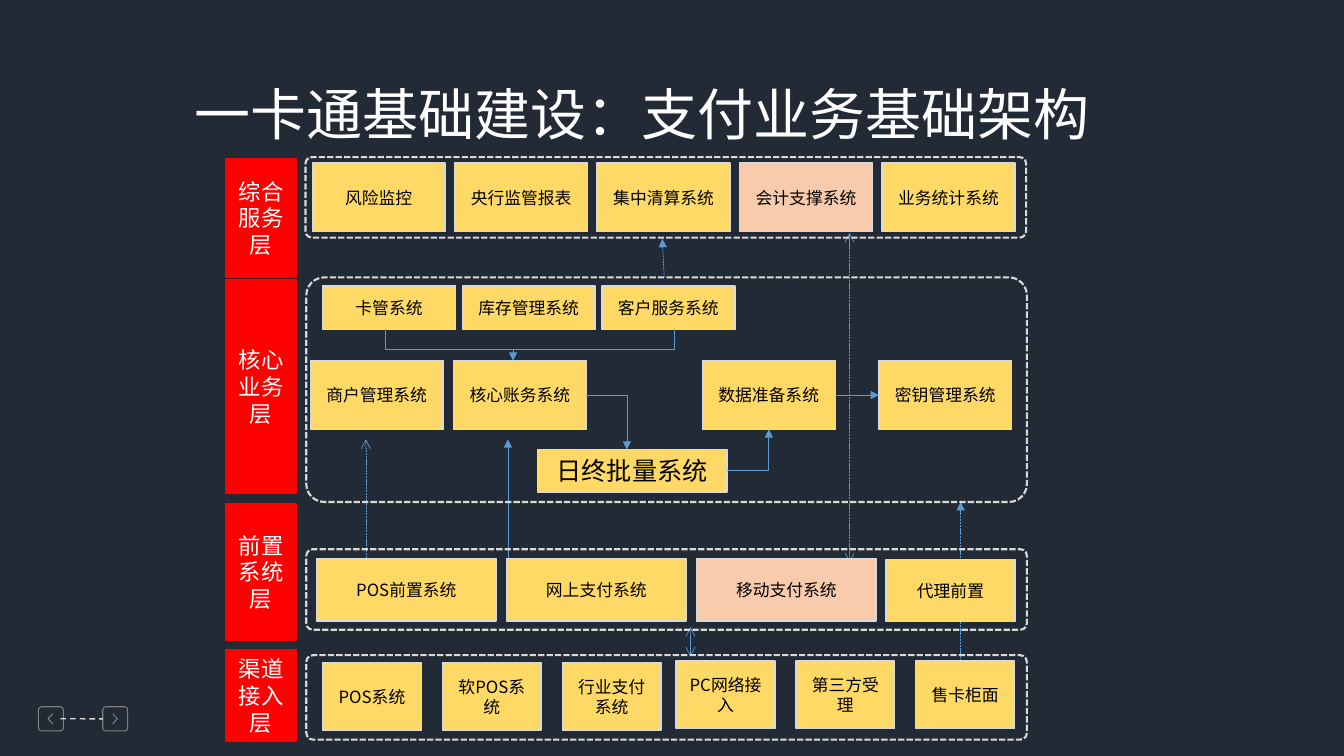
"""Build the payment architecture slide: four layers of systems and their links."""
from lxml.etree import SubElement
from pptx import Presentation
from pptx.dml.color import RGBColor
from pptx.enum.dml import MSO_LINE
from pptx.enum.shapes import MSO_CONNECTOR, MSO_SHAPE
from pptx.enum.text import MSO_ANCHOR, PP_ALIGN
from pptx.oxml.ns import qn
from pptx.util import Cm, Pt

FONT = "Noto Sans CJK SC"
BLUE, GRAY, PALE, RED = "5B9BD5", "808080", "D9D9D9", "FF0000"
YELLOW, PINK, WHITE, BLACK = "FFD966", "F8CBAD", "FFFFFF", "000000"
DASH, DOTS = MSO_LINE.DASH, MSO_LINE.SQUARE_DOT

TITLE = "一卡通基础建设：支付业务基础架构"
# name, label top, label height, frame left, frame top, frame height
LAYERS = [
    ("综合服务层", 4.01, 2.97, 7.7, 3.96, 2.03),
    ("核心业务层", 7.06, 5.38, 7.72, 6.99, 5.66),
    ("前置系统层", 12.7, 3.43, 7.72, 13.84, 2.03),
    ("渠道接入层", 16.38, 2.29, 7.72, 16.51, 2.13),
]
# left, step, top, width, height, text size, names
ROWS = [
    (7.87, 3.59, 4.11, 3.35, 1.73, 12,
     ["风险监控", "央行监管报表", "集中清算系统", "会计支撑系统", "业务统计系统"]),
    (8.13, 3.52, 7.21, 3.35, 1.09, 12, ["卡管系统", "库存管理系统", "客户服务系统"]),
    (7.82, 3.61, 9.09, 3.35, 1.73, 12, ["商户管理系统", "核心账务系统"]),
    (17.7, 4.45, 9.09, 3.35, 1.73, 12, ["数据准备系统", "密钥管理系统"]),
    (13.54, 0, 11.33, 4.78, 1.07, 18, ["日终批量系统"]),
    (7.98, 4.79, 14.08, 4.52, 1.57, 12, ["POS前置系统", "网上支付系统", "移动支付系统"]),
    (22.33, 0, 14.1, 3.25, 1.57, 12, ["代理前置"]),
    (8.13, 3.02, 16.7, 2.49, 1.7, 12, ["POS系统", "软POS系统", "行业支付系统"]),
    (17.04, 3.02, 16.66, 2.49, 1.7, 12, ["PC网络接入", "第三方受理", "售卡柜面"]),
]
HIGHLIGHTED = {"会计支撑系统", "移动支付系统"}
# start, end, dash, head, tail
LAYER_LINKS = [
    ((16.74, 6.99), (16.69, 6.02), DOTS, None, "triangle"),
    ((9.22, 14.43), (9.22, 11.07), DOTS, "arrow", "arrow"),
    ((21.41, 14.17), (21.41, 5.87), DOTS, "arrow", "arrow"),
    ((12.8, 14.48), (12.8, 11.07), None, None, "triangle"),
    ((24.21, 16.66), (24.21, 12.65), DOTS, None, "triangle"),
    ((17.4, 15.8), (17.4, 16.54), None, "arrow", "arrow"),
]
BUS_LINKS = [
    ((9.7, 8.3), (9.7, 8.81), None, None, None),
    ((16.99, 8.3), (16.99, 8.81), None, None, None),
    ((9.7, 8.81), (16.99, 8.81), None, None, None),
    ((12.93, 8.81), (12.93, 9.09), None, None, "triangle"),
]
# left of button, chevron outer x, chevron tip x
NAV_BUTTONS = [(0.97, 1.33, 1.21), (2.59, 2.84, 2.96)]


def rgb(value):
    return RGBColor.from_string(value)


def outline(s, color, width, dash=None):
    s.line.color.rgb = rgb(color)
    s.line.width = Pt(width)
    if dash:
        s.line.dash_style = dash


def write(s, text, size, color):
    p = s.text_frame.paragraphs[0]
    p.alignment = PP_ALIGN.CENTER
    r = p.add_run()
    r.text = text
    r.font.size = Pt(size)
    r.font.color.rgb = rgb(color)
    r.font.name = FONT
    SubElement(r.font._element, qn("a:ea"), typeface=FONT)


def box(x, y, w, h, fill=None, line=PALE, width=1, dash=None, rounding=None):
    kind = MSO_SHAPE.RECTANGLE if rounding is None else MSO_SHAPE.ROUNDED_RECTANGLE
    s = shapes.add_shape(kind, Cm(x), Cm(y), Cm(w), Cm(h))
    s.shadow.inherit = False
    if rounding is not None:
        s.adjustments[0] = rounding
    if fill:
        s.fill.solid()
        s.fill.fore_color.rgb = rgb(fill)
    else:
        s.fill.background()
    outline(s, line, width, dash)
    s.text_frame.vertical_anchor = MSO_ANCHOR.MIDDLE
    return s


def link(start, end, dash=None, head=None, tail=None, color=BLUE, width=0.5, bent=False):
    kind = MSO_CONNECTOR.ELBOW if bent else MSO_CONNECTOR.STRAIGHT
    c = shapes.add_connector(kind, *(Cm(v) for v in (*start, *end)))
    if bent:
        c._element.spPr.find(qn("a:prstGeom")).set("prst", "bentConnector2")
    outline(c, color, width, dash)
    for tag, end_type in (("a:headEnd", head), ("a:tailEnd", tail)):
        if end_type:
            SubElement(c.line._get_or_add_ln(), qn(tag), type=end_type)
    SubElement(c._element.spPr, qn("a:effectLst"))
    return c


def draw_navigation():
    for x, outer, tip in NAV_BUTTONS:
        button = box(x, 17.81, 0.63, 0.61, line=GRAY, width=0.75, rounding=0.14)
        builder = shapes.build_freeform(Cm(outer), Cm(17.99))
        builder.add_line_segments([(Cm(tip), Cm(18.11)), (Cm(outer), Cm(18.24))], close=False)
        chevron = builder.convert_to_shape()
        chevron.shadow.inherit = False
        chevron.fill.background()
        outline(chevron, GRAY, 0.75)
    c = link((1.52, 18.11), (2.59, 18.11), DASH, color=PALE, width=1)
    c.end_connect(button, 1)


def draw_systems():
    systems = {}
    for x, step, y, w, h, size, names in ROWS:
        for i, name in enumerate(names):
            fill = PINK if name in HIGHLIGHTED else YELLOW
            systems[name] = box(x + i * step, y, w, h, fill)
            write(systems[name], name, size, BLACK)
    return systems


def draw_core_flow(systems):
    ledger, batch = systems["核心账务系统"], systems["日终批量系统"]
    data, keys = systems["数据准备系统"], systems["密钥管理系统"]
    c = link((14.78, 9.96), (15.8, 11.33), tail="triangle", bent=True)
    c.begin_connect(ledger, 3)
    c = link((18.32, 11.86), (19.38, 10.82), tail="triangle", bent=True)
    c.begin_connect(batch, 3)
    c.end_connect(data, 2)
    c = link((21.05, 9.96), (22.15, 9.96), tail="triangle")
    c.begin_connect(data, 3)
    c.end_connect(keys, 1)


prs = Presentation()
prs.slide_width, prs.slide_height = Cm(33.87), Cm(19.05)
slide = prs.slides.add_slide(prs.slide_layouts[6])
slide.background.fill.solid()
slide.background.fill.fore_color.rgb = rgb("222A35")
shapes = slide.shapes

draw_navigation()
for args in LAYER_LINKS:
    link(*args)
for name, top, height, *_ in LAYERS:
    write(box(5.69, top, 1.78, height, RED, RED), name, 16, WHITE)
systems = draw_systems()
for args in BUS_LINKS:
    link(*args)
draw_core_flow(systems)
for *_, left, top, height in LAYERS:
    box(left, top, 18.16, height, width=1.5, dash=DOTS, rounding=0.08)
title = shapes.add_textbox(Cm(4.52), Cm(1.88), Cm(23.32), Cm(1.96))
title.text_frame.word_wrap = False
write(title, TITLE, 40, WHITE)
prs.save("out.pptx")
